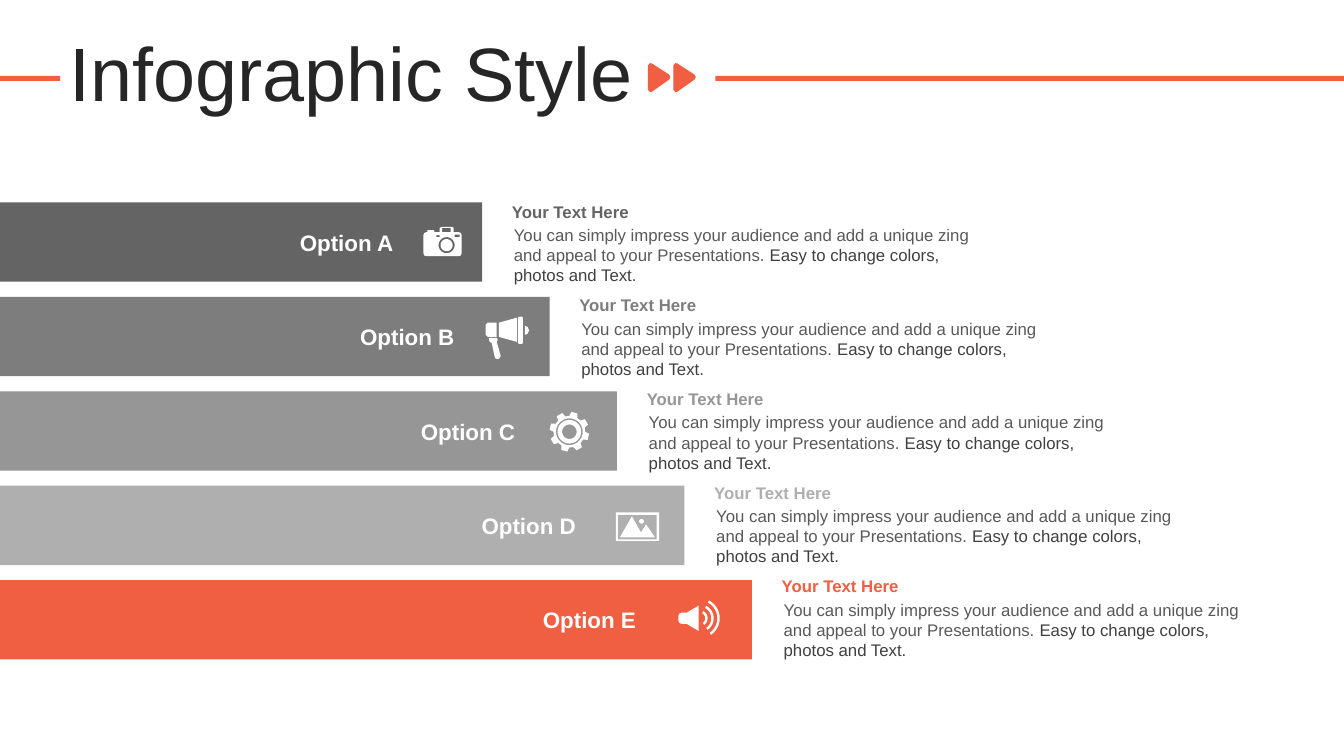
"""Build a slide with five stepped option bars, icons and captions."""
from dataclasses import dataclass
from math import cos, radians, sin

from pptx import Presentation
from pptx.dml.color import RGBColor
from pptx.enum.shapes import MSO_SHAPE
from pptx.enum.text import MSO_ANCHOR, MSO_AUTO_SIZE, PP_ALIGN
from pptx.util import Cm, Pt

RECT = MSO_SHAPE.RECTANGLE
MIDDLE = MSO_ANCHOR.MIDDLE
FIXED = MSO_AUTO_SIZE.NONE
LEFT, CENTER = PP_ALIGN.LEFT, PP_ALIGN.CENTER


@dataclass(frozen=True)
class Theme:
    font: str = "Arial"
    accent: str = "F05F41"
    white: str = "FFFFFF"
    ink: str = "262626"
    body: str = "595959"
    strong: str = "404040"
    grays: tuple = ("646464", "7D7D7D", "969696", "AFAFAF")
    title: int = 54
    label: int = 16
    small: int = 12


def put(para, text, font, size, color, bold=False, align=LEFT):
    para.alignment = align
    run = para.add_run()
    run.text = text
    run.font.name = font
    run.font.size = Pt(size)
    run.font.bold = bold
    run.font.color.rgb = RGBColor.from_string(color)


def polar(radius, angle, x=0, y=0):
    turn = radians(angle)
    return x + radius * cos(turn), y + radius * sin(turn)


def ring(radius, x=0, y=0):
    return [polar(radius, a, x, y) for a in range(0, 360, 10)]


def box(left, top, right, bottom):
    return [(left, top), (right, top), (right, bottom), (left, bottom)]


def wave(radius):
    span = range(-62, 56, 9)
    outer = [polar(radius, a) for a in span]
    return outer + [polar(radius - 2.4, a) for a in reversed(span)]


def gear():
    tooth = ((15.7, -15), (19.8, -9), (19.8, 9), (15.7, 15))
    return [polar(r, a + mid) for mid in range(-75, 285, 45) for r, a in tooth]


ARROW = [[(21, 18), (4, 30), (2, 30.4), (0, 28), (0, 4), (2, 1.6), (4, 2),
          (21, 13), (22.3, 15.5)]]
CAMERA = [
    ring(6, 23, 18), ring(8, 23, 18),
    box(13, 8, 16, 10), box(31, 7.5, 36, 10), box(18.5, 1, 27, 5),
    [(18, 0), (29, 0), (30, 1), (30, 5), (35, 5), (37.2, 6), (38, 8),
     (38, 26), (37.2, 28.2), (35, 29), (3, 29), (0.8, 28.2), (0, 26),
     (0, 8), (0.8, 6), (3, 5), (4, 5), (4, 3), (10, 3), (11, 4), (11, 5),
     (16, 5), (16, 1)],
]
HORN = [
    [(11, 21), (12, 23), (11, 25), (15, 39), (14, 41), (12, 42), (10, 41.6),
     (9, 40), (6, 26), (4, 25), (3, 21)],
    [(39, 9), (41.8, 10.3), (43, 13.5), (41.8, 16.8), (39, 18)],
    [(2, 6), (11, 6), (11, 20), (2, 20), (0, 18), (0, 8)],
    [(31, 1), (31, 25), (13, 20), (13, 6)],
    [(33, 0), (36, 0), (37, 1), (37, 26), (36, 27), (33, 27), (32, 26), (32, 1)],
]
GEAR = [ring(7.2), ring(11.7), ring(13.3), gear()]
PHOTO = [
    ring(2.3, 25.5, 9),
    [(16, 4), (25, 20), (30, 12), (39, 25), (4, 25)],
    box(2, 2.5, 40.5, 27), box(0, 0, 43, 28.5),
]
SOUND = [wave(8), wave(14), wave(20),
         [(-1, -12.5), (-1, 12.5), (-13, 5.5), (-18, 5.5), (-20, 4.6), (-21, 2.5),
          (-21, -2.5), (-20, -4.6), (-18, -5.5), (-13, -5.5)]]


class Deck:
    def __init__(self, theme):
        self.theme = theme
        self.prs = Presentation()
        self.prs.slide_width, self.prs.slide_height = Cm(33.87), Cm(19.05)
        self.slide = self.prs.slides.add_slide(self.prs.slide_layouts[5])
        self.shapes = self.slide.shapes

    def paint(self, shape, color):
        shape.shadow.inherit = False
        shape.fill.solid()
        shape.fill.fore_color.rgb = RGBColor.from_string(color)
        shape.line.fill.background()

    def bar(self, left, top, width, height, color):
        shape = self.shapes.add_shape(RECT, Cm(left), Cm(top), Cm(width), Cm(height))
        self.paint(shape, color)

    def icon(self, left, top, rings, color):
        fine = 100
        pen = None
        for points in rings:
            x, y = points[0][0] * fine, points[0][1] * fine
            if pen is None:
                pen = self.shapes.build_freeform(x, y, scale=Cm(0.0254) / fine)
            else:
                pen.move_to(x, y)
            pen.add_line_segments([(a * fine, b * fine) for a, b in points[1:]])
        self.paint(pen.convert_to_shape(Cm(left), Cm(top)), color)

    def title(self, text):
        look = self.theme
        shape = self.shapes.title
        shape.left, shape.top = Cm(1.5), Cm(0.94)
        shape.width, shape.height = Cm(31.55), Cm(2)
        frame = shape.text_frame
        frame.auto_size = FIXED
        frame.vertical_anchor = MIDDLE
        para = frame.paragraphs[0]
        para.line_spacing = 0.9
        put(para, text, look.font, look.title, look.ink)

    def text(self, left, top, width, height, runs, **form):
        shape = self.shapes.add_textbox(Cm(left), Cm(top), Cm(width), Cm(height))
        frame = shape.text_frame
        frame.word_wrap = True
        for words, color in runs:
            put(frame.paragraphs[0], words, self.theme.font, color=color, **form)


def main():
    look = Theme()
    deck = Deck(look)
    deck.title("Infographic Style")
    for left, width in ((0, 1.52), (18.03, 15.84)):
        deck.bar(left, 1.91, width, 0.13, look.accent)
    for left in (16.33, 16.97):
        deck.icon(left, 1.55, ARROW, look.accent)

    copy = (("You can simply impress your audience and add a unique zing and "
             "appeal to your Presentations. ", look.body),
            ("Easy to change colors, photos and Text.", look.strong))
    icons = ((10.67, 5.72, CAMERA), (12.24, 7.98, HORN), (14.35, 10.88, GEAR),
             (15.52, 12.91, PHOTO), (17.63, 15.58, SOUND))
    colors = (*look.grays, look.accent)
    for i, (name, color, (x, y, rings)) in enumerate(zip("ABCDE", colors, icons)):
        step, drop, fall = 1.7 * i, 2.38 * i, 2.36 * i
        deck.bar(0, 5.1 + drop, 12.15 + step, 2, color)
        deck.text(7.06 + 1.53 * i, 5.64 + drop, 3.35, 0.94,
                  [(f"Option {name}", look.white)],
                  size=look.label, bold=True, align=CENTER)
        deck.text(12.7 + step, 5.54 + fall, 12.09, 1.8, copy, size=look.small)
        deck.text(12.65 + step, 4.95 + fall, 11.99, 0.76,
                  [("Your Text Here", color)], size=look.small, bold=True)
        deck.icon(x, y, rings, look.white)
    deck.prs.save("out.pptx")


if __name__ == "__main__":
    main()
